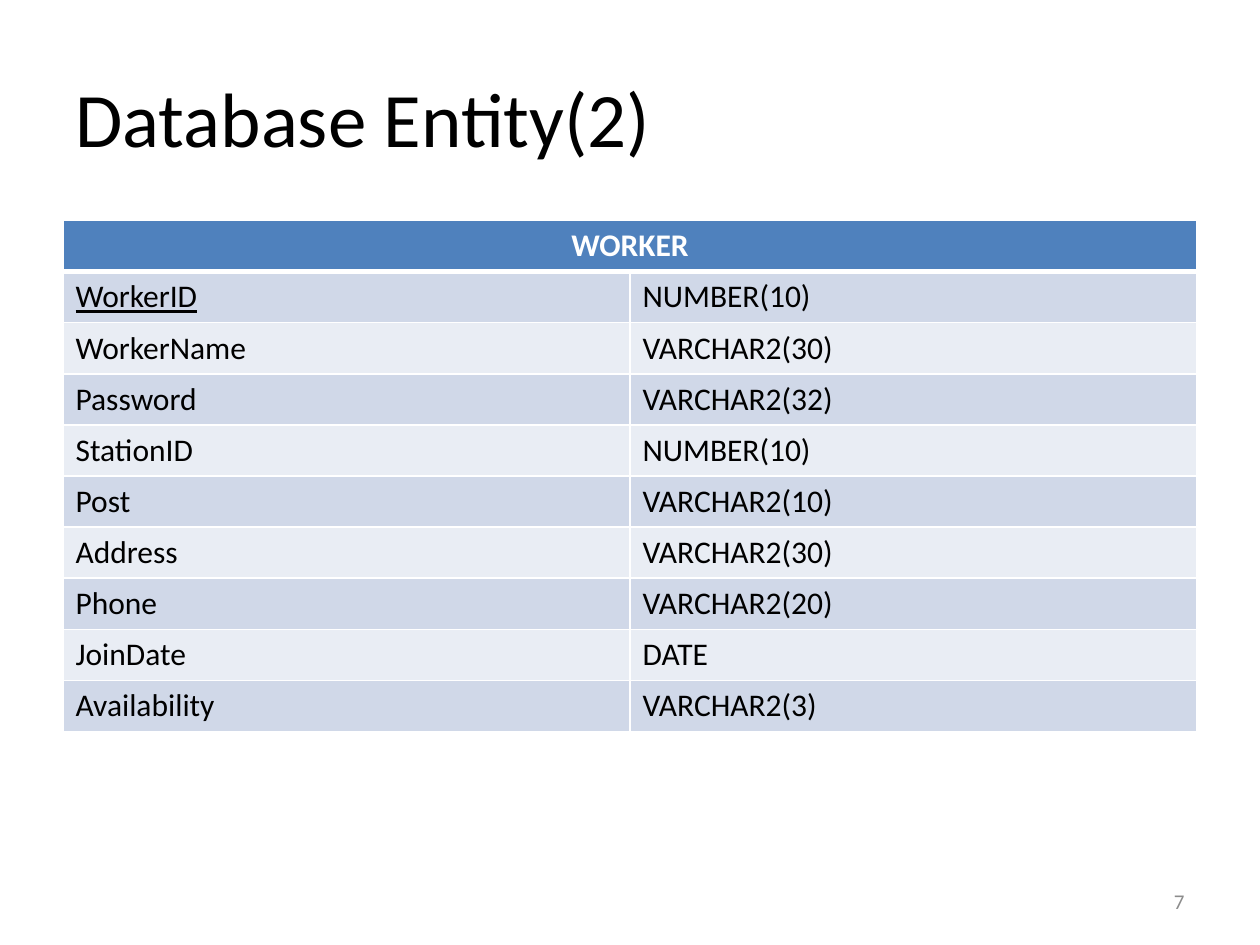
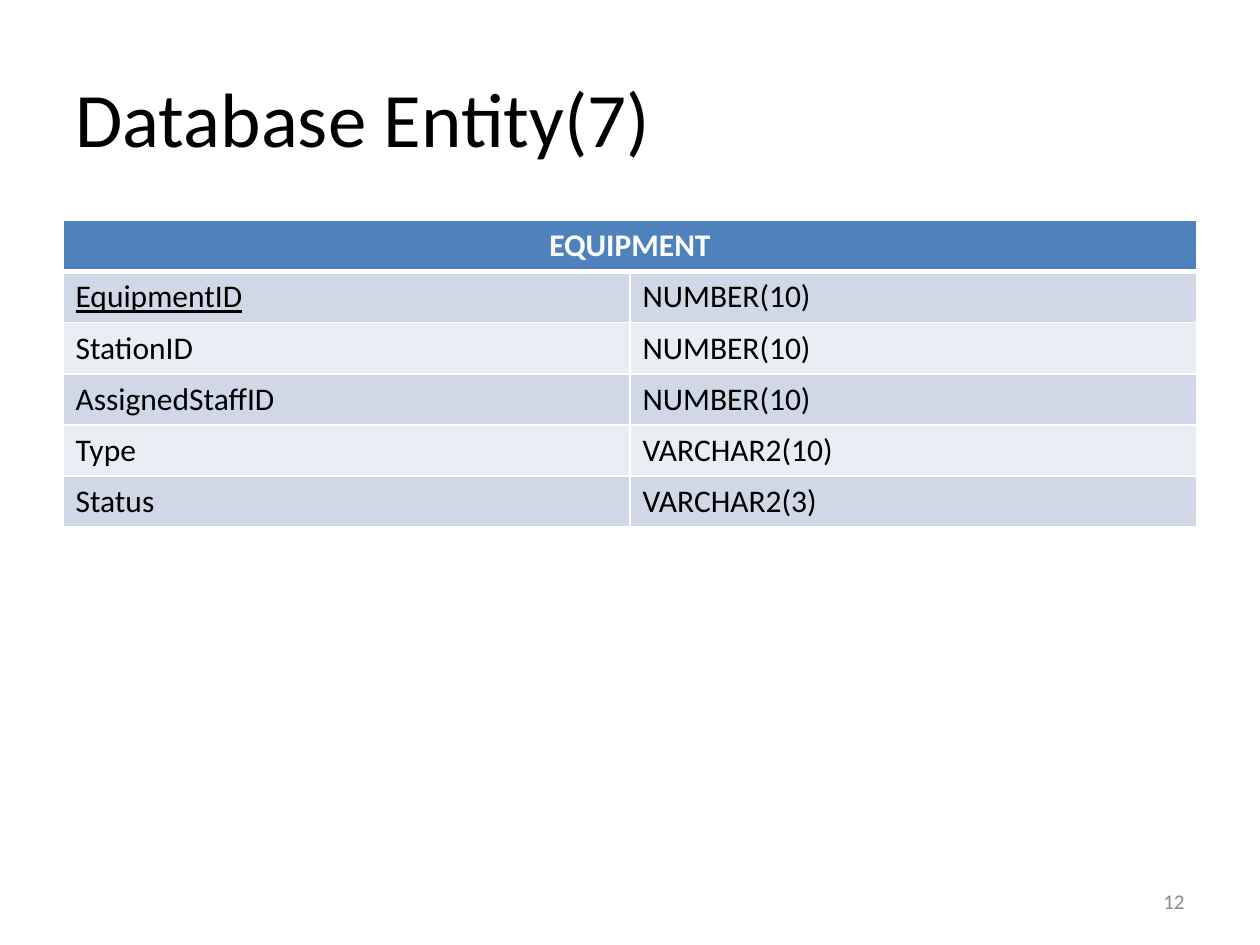
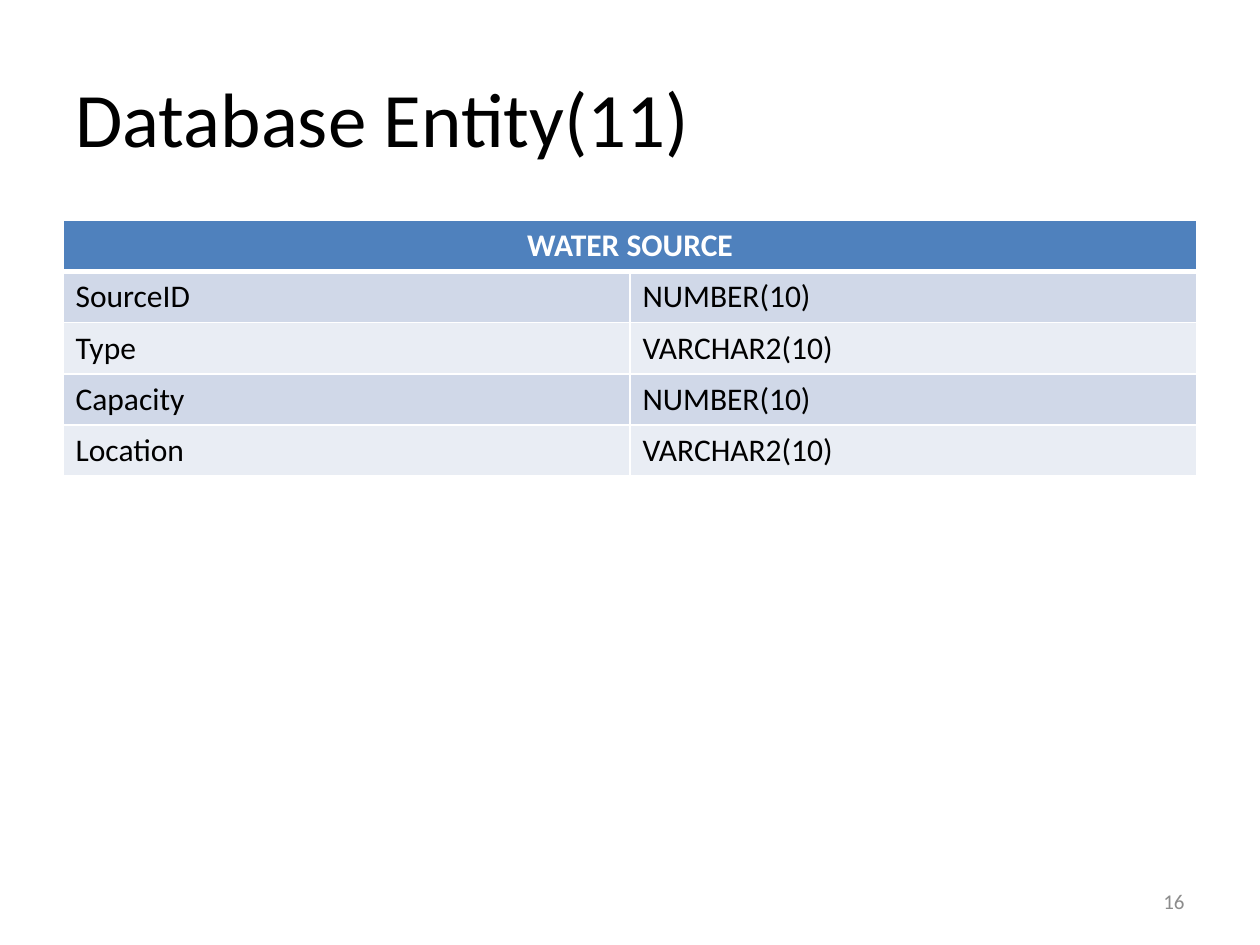
"""Build three database entity slides, each with a title, a column table and a page number."""
from lxml import etree
from pptx import Presentation, util as u
from pptx.dml.color import RGBColor
from pptx.enum import text
from pptx.oxml import ns

FONT = "Calibri"
BLACK, WHITE, GREY = "000000", "FFFFFF", "8C8C8C"
HEADER, BANDS = "4F81BD", ("D0D8E8", "E9EDF4")
MARGIN = u.Inches(0.5)
ROW_HEIGHT = u.Pt(29.2)

ENTITIES = [
    ("Database Entity(2)", "7", "WORKER", "WorkerID", [
        ("WorkerID", "NUMBER(10)"), ("WorkerName", "VARCHAR2(30)"),
        ("Password", "VARCHAR2(32)"), ("StationID", "NUMBER(10)"),
        ("Post", "VARCHAR2(10)"), ("Address", "VARCHAR2(30)"),
        ("Phone", "VARCHAR2(20)"), ("JoinDate", "DATE"),
        ("Availability", "VARCHAR2(3)")]),
    ("Database Entity(7)", "12", "EQUIPMENT", "EquipmentID", [
        ("EquipmentID", "NUMBER(10)"), ("StationID", "NUMBER(10)"),
        ("AssignedStaffID", "NUMBER(10)"), ("Type", "VARCHAR2(10)"),
        ("Status", "VARCHAR2(3)")]),
    ("Database Entity(11)", "16", "WATER SOURCE", None, [
        ("SourceID", "NUMBER(10)"), ("Type", "VARCHAR2(10)"),
        ("Capacity", "NUMBER(10)"), ("Location", "VARCHAR2(10)")]),
]


def rgb(value):
    return RGBColor.from_string(value)


def write(frame, words, size, color, align=text.PP_ALIGN.LEFT):
    frame.text = words
    frame.word_wrap = True
    para = frame.paragraphs[0]
    para.alignment = align
    font = para.runs[0].font
    font.name, font.size, font.color.rgb = FONT, u.Pt(size), rgb(color)
    return font


deck = Presentation()
deck.slide_width, deck.slide_height = u.Inches(10), u.Inches(7.5)
content_width = deck.slide_width - 2 * MARGIN

for title, number, entity, key, columns in ENTITIES:
    page = deck.slides.add_slide(deck.slide_layouts[6])

    box = page.shapes.add_textbox(MARGIN, u.Inches(0.3), content_width, u.Inches(1.25))
    box.text_frame.vertical_anchor = text.MSO_ANCHOR.MIDDLE
    write(box.text_frame, title, 44, BLACK)

    rows = [(entity, "")] + columns
    table = page.shapes.add_table(len(rows), 2, MARGIN, u.Inches(1.75),
                                  content_width, ROW_HEIGHT * len(rows)).table
    table.first_row = table.horz_banding = False
    table.cell(0, 0).merge(table.cell(0, 1))

    for r, row in enumerate(rows):
        table.rows[r].height = ROW_HEIGHT
        for c, words in enumerate(row):
            cell = table.cell(r, c)
            properties = cell._tc.get_or_add_tcPr()
            for side in "LRTB":
                thick = (r, side) in ((0, "B"), (1, "T"))
                line = etree.SubElement(properties, ns.qn("a:ln" + side),
                                        w=str(u.Pt(3 if thick else 1)))
                fill = etree.SubElement(line, ns.qn("a:solidFill"))
                etree.SubElement(fill, ns.qn("a:srgbClr"), val=WHITE)
            cell.fill.solid()
            cell.fill.fore_color.rgb = rgb(BANDS[(r - 1) % 2] if r else HEADER)
            if r:
                font = write(cell.text_frame, words, 18, BLACK)
                font.bold = False
                font.underline = words == key
            elif words:
                write(cell.text_frame, words, 18, WHITE, text.PP_ALIGN.CENTER).bold = True

    width = u.Inches(2.33)
    box = page.shapes.add_textbox(deck.slide_width - MARGIN - width, u.Inches(6.95),
                                  width, u.Inches(0.4))
    box.text_frame.vertical_anchor = text.MSO_ANCHOR.MIDDLE
    write(box.text_frame, number, 12, GREY, text.PP_ALIGN.RIGHT)

deck.save("out.pptx")
